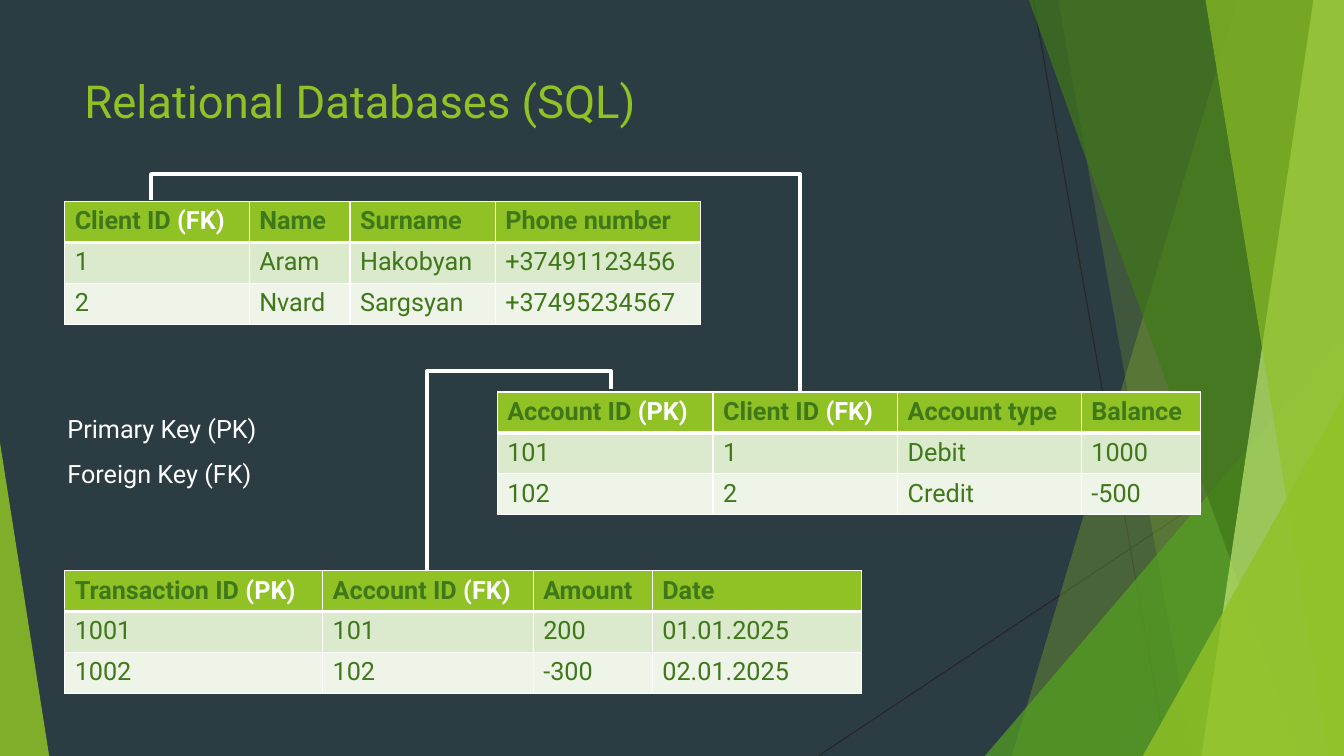
from lxml.etree import SubElement
from pptx import Presentation
from pptx.dml.color import RGBColor
from pptx.enum.shapes import MSO_CONNECTOR as CONN, MSO_SHAPE as SHAPE
from pptx.enum.text import MSO_ANCHOR as ANCHOR, MSO_AUTO_SIZE as AUTO
from pptx.oxml.ns import qn
from pptx.util import Cm, Pt

DARK = RGBColor(0x2C, 0x3C, 0x43)
BLACK = RGBColor(0x26, 0x26, 0x26)
WHITE = RGBColor(0xFF, 0xFF, 0xFF)
LIME = RGBColor(0x90, 0xC2, 0x26)
PALE_LIME = RGBColor(0xC0, 0xE4, 0x74)
GREEN = RGBColor(0x54, 0xA0, 0x21)
FOREST = RGBColor(0x3F, 0x78, 0x19)
ROW_FILLS = (RGBColor(0xDB, 0xE9, 0xCD), RGBColor(0xEE, 0xF4, 0xE8))

WIDTH, HEIGHT = 33.87, 19.05
ROW_HEIGHT = 1.03


def write(p, text, size=18, color=WHITE, bold=False, font="Roboto"):
    """Append text to a paragraph; a newline becomes a line break."""
    for i, line in enumerate(text.split("\n")):
        if i:
            p.add_line_break()
        r = p.add_run()
        r.text = line
        r.font.name, r.font.size, r.font.bold = font, Pt(size), bold
        r.font.color.rgb = color


class Deck:
    def __init__(self):
        self.prs = Presentation()
        self.prs.slide_width, self.prs.slide_height = Cm(WIDTH), Cm(HEIGHT)
        self.s = self.prs.slides.add_slide(self.prs.slide_layouts[6])
        self.s.background.fill.solid()
        self.s.background.fill.fore_color.rgb = DARK

    def tint(self, sp, color, opacity):
        sp.shadow.inherit = False
        sp.fill.solid()
        sp.fill.fore_color.rgb = color
        clr = sp._element.spPr.find(".//" + qn("a:srgbClr"))
        SubElement(clr, qn("a:alpha"), val=str(opacity * 1000))
        sp.line.fill.background()

    def outline(self, points, close):
        pts = [(Cm(x), Cm(y)) for x, y in points]
        fb = self.s.shapes.build_freeform(*pts[0], scale=1.0)
        fb.add_line_segments(pts[1:], close=close)
        return fb.convert_to_shape()

    def band(self, top_x, bottom_x, color, opacity):
        points = [(top_x, 0), (WIDTH, 0), (WIDTH, HEIGHT), (bottom_x, HEIGHT)]
        self.tint(self.outline(points, True), color, opacity)

    def triangle(self, x, y, w, apex, color, opacity):
        sp = self.s.shapes.add_shape(SHAPE.ISOSCELES_TRIANGLE, Cm(x), Cm(y),
                                     Cm(w), Cm(HEIGHT - y))
        sp.adjustments[0] = apex
        self.tint(sp, color, opacity)

    def hairline(self, x1, y1, x2, y2):
        ln = self.s.shapes.add_connector(CONN.STRAIGHT, Cm(x1), Cm(y1), Cm(x2), Cm(y2))
        ln.line.color.rgb, ln.line.width = BLACK, Pt(0.75)
        SubElement(ln._element.spPr, qn("a:effectLst"))

    def link(self, *points):
        sp = self.outline(points, False)
        sp.shadow.inherit = False
        sp.fill.background()
        sp.line.color.rgb, sp.line.width = WHITE, Pt(3)

    def text(self, x, y, w, h, text, wrap=True, spacing=None, **fmt):
        tf = self.s.shapes.add_textbox(Cm(x), Cm(y), Cm(w), Cm(h)).text_frame
        tf.word_wrap = wrap
        tf.auto_size = AUTO.NONE if wrap else AUTO.SHAPE_TO_FIT_TEXT
        tf.vertical_anchor = ANCHOR.MIDDLE if wrap else ANCHOR.TOP
        p = tf.paragraphs[0]
        if spacing:
            p.line_spacing = spacing
        write(p, text, **fmt)

    def borders(self, cell, top, bottom):
        tcPr = cell._tc.get_or_add_tcPr()
        widths = {"a:lnL": 1, "a:lnR": 1, "a:lnT": top, "a:lnB": bottom}
        for i, (tag, width) in enumerate(widths.items()):
            ln = SubElement(tcPr, qn(tag), w=str(Pt(width)))
            SubElement(SubElement(ln, qn("a:solidFill")), qn("a:srgbClr"), val=str(WHITE))
            tcPr.insert(i, ln)

    def table(self, x, y, widths, rows):
        tbl = self.s.shapes.add_table(len(rows), len(widths), Cm(x), Cm(y), Cm(sum(widths)),
                                      Cm(ROW_HEIGHT * len(rows))).table
        tbl.horz_banding = False
        for col, width in zip(tbl.columns, widths):
            col.width = Cm(width)
        for i, row in enumerate(rows):
            tbl.rows[i].height = Cm(ROW_HEIGHT)
            for j, value in enumerate(row):
                cell = tbl.cell(i, j)
                cell.fill.solid()
                cell.fill.fore_color.rgb = ROW_FILLS[i - 1] if i else LIME
                self.borders(cell, top=3 if i == 1 else 1, bottom=1 if i else 3)
                p = cell.text_frame.paragraphs[0]
                # The key marker in a heading is white
                name, mark, key = value.partition("(")
                write(p, name, color=FOREST, bold=i == 0)
                if mark:
                    write(p, mark + key, bold=True)


def main():
    deck = Deck()

    # Background facets
    deck.hairline(26.04, 0, 29.41, HEIGHT)
    deck.hairline(WIDTH, 10.24, 20.62, HEIGHT)
    deck.band(31.19, 25.5, LIME, 30)
    deck.band(26.67, 30.05, LIME, 20)
    deck.triangle(24.82, 8.46, 9.05, 1, GREEN, 72)
    deck.band(25.93, 32.79, FOREST, 70)
    deck.band(33.1, 30.28, PALE_LIME, 70)
    deck.band(30.38, 33.48, LIME, 65)
    deck.triangle(28.8, 9.98, 5.07, 1, LIME, 80)
    deck.triangle(0, 11.15, 1.24, 0, LIME, 85)

    # Title
    deck.text(1.88, 1.7, 23.88, 1.68, "Relational Databases (SQL)", size=32.4, color=LIME)

    # Clients, accounts and transactions
    deck.table(1.63, 5.08, (4.65, 2.54, 3.66, 5.18), [
        ("Client ID (FK)", "Name", "Surname", "Phone number"),
        ("1", "Aram", "Hakobyan", "+37491123456"),
        ("2", "Nvard", "Sargsyan", "+37495234567")])
    deck.table(12.53, 9.88, (5.44, 4.65, 4.63, 3), [
        ("Account ID (PK)", "Client ID (FK)", "Account type", "Balance"),
        ("101", "1", "Debit", "1000"),
        ("102", "2", "Credit", "-500")])
    deck.table(1.63, 14.38, (6.5, 5.31, 3, 5.28), [
        ("Transaction ID (PK)", "Account ID (FK)", "Amount", "Date"),
        ("1001", "101", "200", "01.01.2025"),
        ("1002", "102", "-300", "02.01.2025")])

    # Links between keys
    deck.link((10.77, 14.38), (10.77, 9.35), (15.39, 9.35), (15.39, 9.8))
    deck.link((3.81, 5.05), (3.81, 4.39), (20.17, 4.39), (20.17, 9.88))

    # Legend
    deck.text(1.45, 9.91, 5.31, 2.41, "Primary Key (PK)\nForeign Key (FK)",
              wrap=False, spacing=1.5)

    deck.prs.save("out.pptx")


if __name__ == "__main__":
    main()
